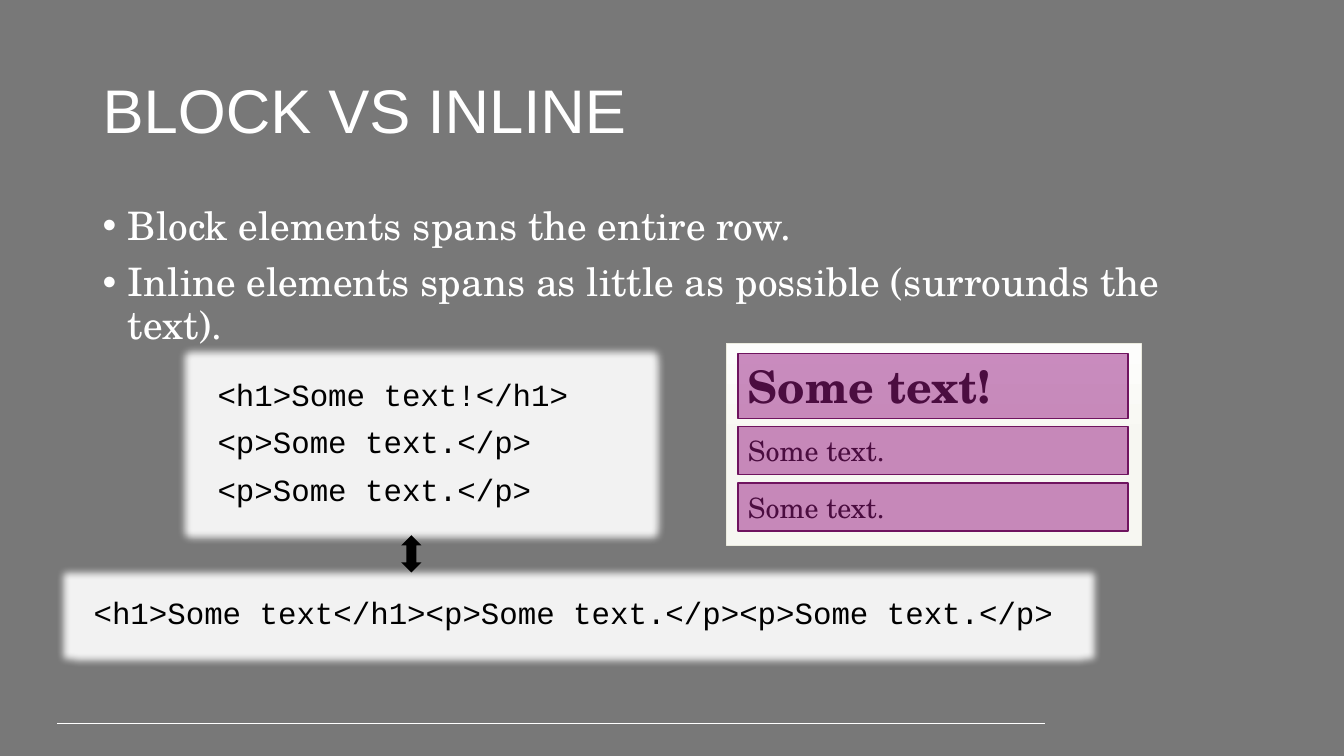
"""Builds the slide that compares block and inline elements."""
from copy import deepcopy

from lxml.etree import SubElement
from pptx import Presentation
from pptx.dml.color import RGBColor
from pptx.enum.shapes import MSO_CONNECTOR, MSO_SHAPE
from pptx.enum.text import MSO_ANCHOR, PP_ALIGN
from pptx.oxml.ns import qn
from pptx.util import Inches, Pt

COLORS = {
    "background": "787878", "light": "FFFFFF", "dark": "000000",
    "code": "F2F2F2", "block": "961B81", "block_edge": "6F145F",
    "page_edge": "EBEBDF",
    "page_top": "FDFDFC", "page_middle": "F7F7F2", "page_bottom": "F6F6F0",
}
PAGE_GRADIENT = [(0, "page_top"), (0.5, "page_middle"), (1, "page_bottom")]
SANS, SERIF, MONO = "Arial", "TeX Gyre Schola", "Courier New"


def rgb(name):
    """Return the named colour."""
    return RGBColor.from_string(COLORS[name])


def write(frame, lines, font, size, color, bold=False, spacing=None, before=0):
    """Fill a text frame with one left-aligned paragraph per line."""
    frame.word_wrap = True
    frame.text = "\n".join(lines)
    for paragraph in frame.paragraphs:
        paragraph.alignment = PP_ALIGN.LEFT
        paragraph.line_spacing = spacing
        paragraph.space_before = Pt(before)
        for run in paragraph.runs:
            run.font.name, run.font.size, run.font.bold = font, Pt(size), bold
            run.font.color.rgb = rgb(color)


def add_text(slide, box, lines, *style, **options):
    """Add a text box and return its frame."""
    frame = slide.shapes.add_textbox(*map(Inches, box)).text_frame
    write(frame, lines, *style, **options)
    return frame


def add_filled(slide, preset, box, fill, edge=None, width=1):
    """Add a preset shape with a solid fill and an optional outline."""
    shape = slide.shapes.add_shape(preset, *map(Inches, box))
    shape.shadow.inherit = False
    shape.fill.solid()
    shape.fill.fore_color.rgb = rgb(fill)
    if edge:
        shape.line.color.rgb = rgb(edge)
        shape.line.width = Pt(width)
    else:
        shape.line.fill.background()
    return shape


def add_title(slide, box, title):
    """Place the slide title in the middle of its box."""
    frame = add_text(slide, box, [title], SANS, 44, "light", spacing=0.9)
    frame.vertical_anchor = MSO_ANCHOR.MIDDLE


def add_bullets(slide, box, points):
    """Place the bulleted points with a hanging indent."""
    frame = add_text(slide, box, points, SERIF, 28, "light", spacing=0.9, before=10)
    for paragraph in frame.paragraphs:
        properties = paragraph._p.get_or_add_pPr()
        properties.set("marL", str(Inches(0.25)))
        properties.set("indent", str(Inches(-0.25)))
        SubElement(properties, qn("a:buFont")).set("typeface", SANS)
        SubElement(properties, qn("a:buChar")).set("char", "•")


def add_code(slide, box, lines):
    """Place a code panel with a soft glow around it."""
    panel = add_filled(slide, MSO_SHAPE.RECTANGLE, box, "code")
    effects = panel._element.spPr.find(qn("a:effectLst"))
    glow = SubElement(effects, qn("a:glow"), rad=str(Inches(0.15)))
    SubElement(glow, qn("a:srgbClr"), val=COLORS["code"])
    write(panel.text_frame, lines, MONO, 22, "dark", spacing=0.9, before=10)
    panel.text_frame.vertical_anchor = MSO_ANCHOR.TOP


def add_block(slide, box, text, size, bold):
    """Place rendered text under a translucent block that spans the row."""
    frame = add_text(slide, box, [text], SERIF, size, "dark", bold=bold)
    frame.vertical_anchor = MSO_ANCHOR.MIDDLE
    block = add_filled(slide, MSO_SHAPE.RECTANGLE, box, "block", "block_edge")
    color = block._element.spPr.find(qn("a:solidFill"))[0]
    SubElement(color, qn("a:alpha"), val="50000")


def add_page(slide, box, blocks):
    """Place the rendered page with its stacked blocks."""
    left, top, width, height = box
    page = add_filled(slide, MSO_SHAPE.RECTANGLE, box, "code", "page_edge", 0.5)
    page.fill.gradient()
    page.fill.gradient_angle = 270
    stop_list = page._element.spPr.find(qn("a:gradFill")).find(qn("a:gsLst"))
    stop_list.insert(1, deepcopy(stop_list[0]))
    for stop, (position, color) in zip(page.fill.gradient_stops, PAGE_GRADIENT):
        stop.position = position
        stop.color.rgb = rgb(color)
    row_top = top + 0.1
    for text, size, bold, row_height in blocks:
        row = (left + 0.12, row_top, width - 0.25, row_height)
        add_block(slide, row, text, size, bold)
        row_top += row_height + 0.08


def add_footer_rule(slide, left, top, width):
    """Draw the thin line at the foot of the slide."""
    ends = map(Inches, (left, top, left + width, top))
    rule = slide.shapes.add_connector(MSO_CONNECTOR.STRAIGHT, *ends)
    rule.line.color.rgb = rgb("light")
    rule.line.width = Pt(0.75)
    SubElement(rule._element.spPr, qn("a:effectLst"))


def build_comparison(slide):
    """Lay out the whole slide."""
    slide.background.fill.solid()
    slide.background.fill.fore_color.rgb = rgb("background")
    add_footer_rule(slide, 0.57, 7.18, 9.79)
    add_title(slide, (0.92, 0.4, 11.5, 1.45), "BLOCK VS INLINE")
    add_code(slide, (2.06, 3.72, 4.24, 1.38), [
        "<h1>Some text!</h1>", "<p>Some text.</p>", "<p>Some text.</p>"])
    add_bullets(slide, (0.92, 2, 11.5, 1.09), [
        "Block elements spans the entire row.",
        "Inline elements spans as little as possible (surrounds the text)."])
    add_page(slide, (7.2, 3.41, 4.12, 2), [
        ("Some text!", 32, True, 0.64),
        ("Some text.", 20, False, 0.48),
        ("Some text.", 20, False, 0.48)])
    add_code(slide, (0.83, 5.88, 9.81, 0.44), [
        "<h1>Some text</h1><p>Some text.</p><p>Some text.</p>"])
    add_filled(slide, MSO_SHAPE.UP_DOWN_ARROW, (3.98, 5.31, 0.2, 0.37), "dark")


presentation = Presentation()
presentation.slide_width = Inches(13.33)
presentation.slide_height = Inches(7.5)
build_comparison(presentation.slides.add_slide(presentation.slide_layouts[6]))
presentation.save("out.pptx")
